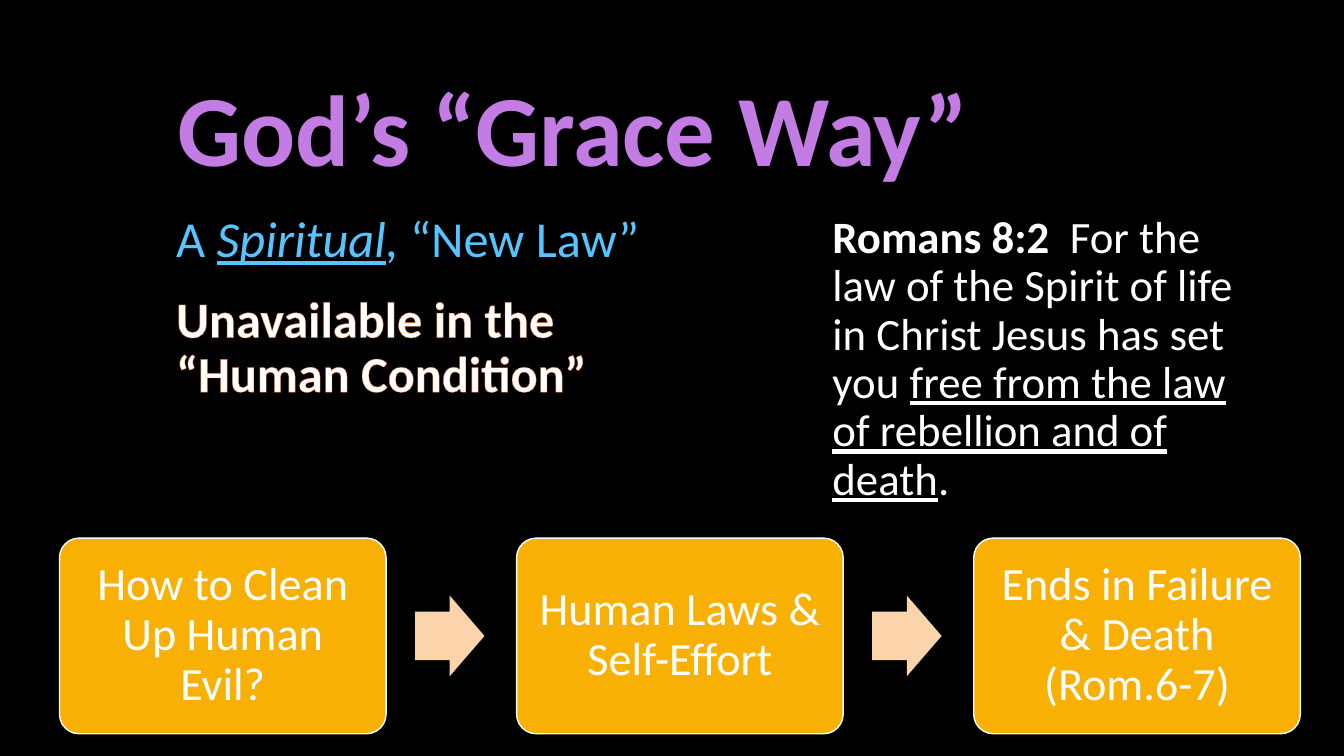
from lxml.etree import SubElement
from pptx import Presentation
from pptx.dml.color import RGBColor
from pptx.enum.shapes import MSO_SHAPE
from pptx.enum.text import MSO_ANCHOR, PP_ALIGN
from pptx.oxml.ns import qn
from pptx.util import Cm, Pt

BLACK = RGBColor(0x00, 0x00, 0x00)
WHITE = RGBColor(0xFF, 0xFF, 0xFF)
PURPLE = RGBColor(0xC2, 0x7C, 0xE4)
DARK_PURPLE = RGBColor(0x97, 0x2A, 0xCD)
BLUE = RGBColor(0x56, 0xC5, 0xFF)
ORANGE = RGBColor(0xF8, 0x6E, 0x24)
GOLD = RGBColor(0xF8, 0xB0, 0x04)
PEACH = RGBColor(0xFB, 0xD4, 0xAB)


def write_paragraph(paragraph, size, color, runs):
    """Fill a paragraph with (text, styles) runs; styles are letters b, i, u."""
    paragraph.line_spacing = 0.9
    for text, styles in runs:
        run = paragraph.add_run()
        run.text = text
        font = run.font
        font.name, font.size = "Calibri", Pt(size)
        font.color.rgb = color
        font.bold = "b" in styles
        font.italic = "i" in styles
        font.underline = "u" in styles


def outline_text(paragraph, color, width):
    """Draw a coloured line around the letters of a paragraph."""
    for run in paragraph.runs:
        properties = run.font.fill._xPr
        line = SubElement(properties, qn("a:ln"), w=str(Pt(width)))
        fill = SubElement(line, qn("a:solidFill"))
        SubElement(fill, qn("a:srgbClr"), val=str(color))
        properties.insert(0, line)


presentation = Presentation()
presentation.slide_width, presentation.slide_height = Cm(33.87), Cm(19.05)
slide = presentation.slides.add_slide(presentation.slide_layouts[6])
slide.background.fill.solid()
slide.background.fill.fore_color.rgb = BLACK

# Title and the two text columns
frames = []
for left, top, width, height in [
    (4.22, 1.07, 25.4, 3.81),
    (4.19, 5.28, 14.22, 11.43),
    (20.73, 5.28, 11.18, 11.43),
]:
    box = slide.shapes.add_textbox(Cm(left), Cm(top), Cm(width), Cm(height))
    box.text_frame.word_wrap = True
    frames.append(box.text_frame)
title, new_law, verse = frames

title.vertical_anchor = MSO_ANCHOR.BOTTOM
write_paragraph(title.paragraphs[0], 72, PURPLE, [("God’s “Grace Way”", "b")])
outline_text(title.paragraphs[0], DARK_PURPLE, 1)

write_paragraph(new_law.paragraphs[0], 36, BLUE, [
    ("A ", ""), ("Spiritual", "iu"), (",", "i"), (" “New Law”", ""),
])
unavailable = new_law.add_paragraph()
unavailable.space_before = Pt(18)
write_paragraph(unavailable, 36, WHITE,
                [("Unavailable in the “Human Condition”", "b")])
outline_text(unavailable, ORANGE, 0.8)

write_paragraph(verse.paragraphs[0], 32, WHITE, [
    ("Romans 8:2  ", "b"),
    ("For the law of the Spirit of life in Christ Jesus has set you ", ""),
    ("free from the law of rebellion and of death", "u"),
    (".", ""),
])

# Process: cards joined by block arrows
STEPS = [
    "How to Clean Up Human Evil?",
    "Human Laws & Self-Effort",
    "Ends in Failure & Death (Rom.6-7)",
]
PITCH = 11.52
for index, step in enumerate(STEPS):
    card = slide.shapes.add_shape(
        MSO_SHAPE.ROUNDED_RECTANGLE,
        Cm(1.5 + index * PITCH), Cm(13.56), Cm(8.23), Cm(4.93))
    card.adjustments[0] = 0.1
    card.shadow.inherit = False
    card.fill.solid()
    card.fill.fore_color.rgb = GOLD
    card.line.color.rgb = WHITE
    card.line.width = Pt(1)
    frame = card.text_frame
    frame.word_wrap = True
    frame.vertical_anchor = MSO_ANCHOR.MIDDLE
    frame.margin_left = frame.margin_right = Cm(0.35)
    frame.margin_top = frame.margin_bottom = Cm(0.35)
    frame.paragraphs[0].alignment = PP_ALIGN.CENTER
    write_paragraph(frame.paragraphs[0], 33, WHITE, [(step, "")])

    if index < len(STEPS) - 1:
        arrow = slide.shapes.add_shape(
            MSO_SHAPE.RIGHT_ARROW,
            Cm(10.46 + index * PITCH), Cm(15.01), Cm(1.75), Cm(2.03))
        arrow.adjustments[0] = 0.6
        arrow.adjustments[1] = 0.5
        arrow.shadow.inherit = False
        arrow.fill.solid()
        arrow.fill.fore_color.rgb = PEACH
        arrow.line.fill.background()

presentation.save("out.pptx")
